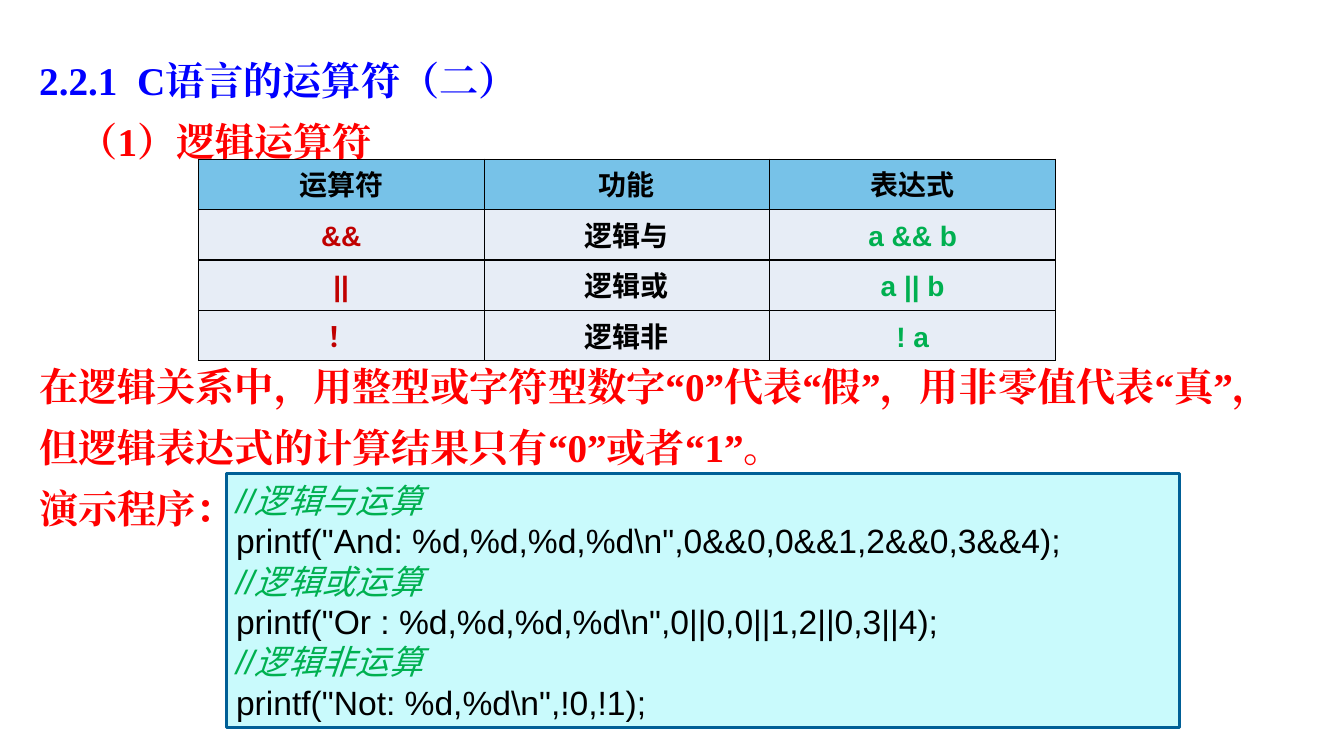
"""Builds the slide on the logical operators of C."""
from lxml import etree
from pptx import Presentation
from pptx.dml.color import RGBColor
from pptx.enum.shapes import MSO_SHAPE
from pptx.enum.text import MSO_ANCHOR, PP_ALIGN
from pptx.oxml.ns import qn
from pptx.util import Cm, Pt

RECT = MSO_SHAPE.RECTANGLE
TOP, MIDDLE = MSO_ANCHOR.TOP, MSO_ANCHOR.MIDDLE
LEFT, CENTER = PP_ALIGN.LEFT, PP_ALIGN.CENTER
BLUE, RED, GREEN, BLACK, DARK = "0000FF", "FF0000", "00B050", "000000", "C00000"
SERIF, SANS = "Times New Roman", "Arial"


def paint(color, target):
    if hasattr(target, "solid"):
        target.solid()
        target = target.fore_color
    target.rgb = RGBColor.from_string(color)


def write(frame, text, size=20, font=SANS, color=BLACK, bold=False, italic=False,
          align=LEFT, line=1.0, before=0, indent=0):
    para = frame.paragraphs[0]
    if para.runs:
        para = frame.add_paragraph()
    para.alignment, para.line_spacing, para.space_before = align, line, Pt(before)
    para._p.get_or_add_pPr().set("marL", str(Cm(indent)))
    run = para.add_run()
    run.text = text
    run.font.name, run.font.size = font, Pt(size)
    run.font.bold, run.font.italic = bold, italic
    paint(color, run.font.fill)
    east = etree.SubElement(run.font._element, qn("a:ea"))
    east.set("typeface", font)


deck = Presentation()
deck.slide_width, deck.slide_height = Cm(33.87), Cm(19.05)
slide = deck.slides.add_slide(deck.slide_layouts[6])
shapes = slide.shapes

body = shapes.add_textbox(Cm(0.74), Cm(0.94), Cm(32.41), Cm(12.7)).text_frame
body.word_wrap = True
lines = [
    ("2.2.1  C语言的运算符（二）", BLUE, 0, 0),
    ("（1）逻辑运算符", RED, 0, 0.99),
    ("在逻辑关系中，用整型或字符型数字“0”代表“假”，用非零值代表“真”，"
     "但逻辑表达式的计算结果只有“0”或者“1”。", RED, 131, 0),
    ("演示程序：", RED, 0, 0),
]
for text, color, before, indent in lines:
    write(body, text, size=28, font=SERIF, color=color, bold=True, line=1.3,
          before=before, indent=indent)

panel = shapes.add_shape(RECT, Cm(5.7), Cm(11.94), Cm(24.03), Cm(6.4))
panel.shadow.inherit = False
paint("C9FAFC", panel.fill)
paint("005F96", panel.line.fill)
panel.line.width = Pt(2.25)
code = panel.text_frame
code.word_wrap = True
code.vertical_anchor = MIDDLE
demos = [
    ("//逻辑与运算", r'printf("And: %d,%d,%d,%d\n",0&&0,0&&1,2&&0,3&&4);'),
    ("//逻辑或运算", r'printf("Or : %d,%d,%d,%d\n",0||0,0||1,2||0,3||4);'),
    ("//逻辑非运算", r'printf("Not: %d,%d\n",!0,!1);'),
]
for note, call in demos:
    write(code, note, size=24, color=GREEN, italic=True)
    write(code, call, size=24)

rows = [
    ("运算符", "功能", "表达式"),
    ("&&", "逻辑与", "a && b"),
    ("||", "逻辑或", "a || b"),
    ("！", "逻辑非", "! a"),
]
grid = shapes.add_table(4, 3, Cm(5), Cm(4.01), Cm(21.6), Cm(5.08)).table
for r, row in enumerate(rows):
    grid.rows[r].height = Cm(1.27)
    for c, text in enumerate(row):
        cell = grid.cell(r, c)
        cell.vertical_anchor = TOP
        color = (DARK, BLACK, GREEN)[c] if r else BLACK
        write(cell.text_frame, text, color=color, bold=True, align=CENTER,
              line=1.2, before=4)
        props = cell._tc.get_or_add_tcPr()
        for side in ("lnL", "lnR", "lnT", "lnB"):
            edge = etree.SubElement(props, qn(f"a:{side}"), w=str(Pt(1)))
            fill = etree.SubElement(edge, qn("a:solidFill"))
            etree.SubElement(fill, qn("a:srgbClr"), val=BLACK)
        paint("E7EDF6" if r else "77C2E8", cell.fill)

deck.save("out.pptx")
